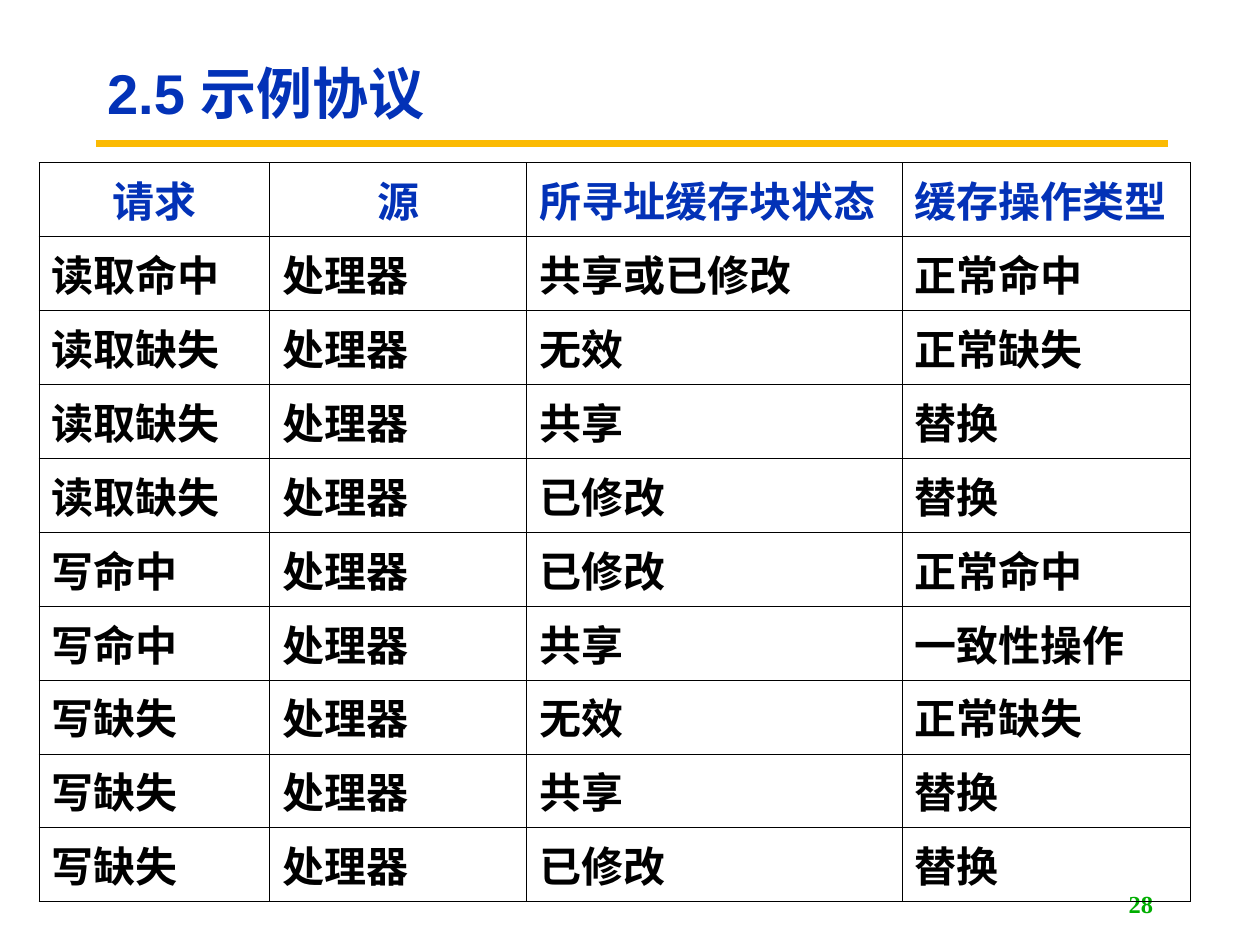
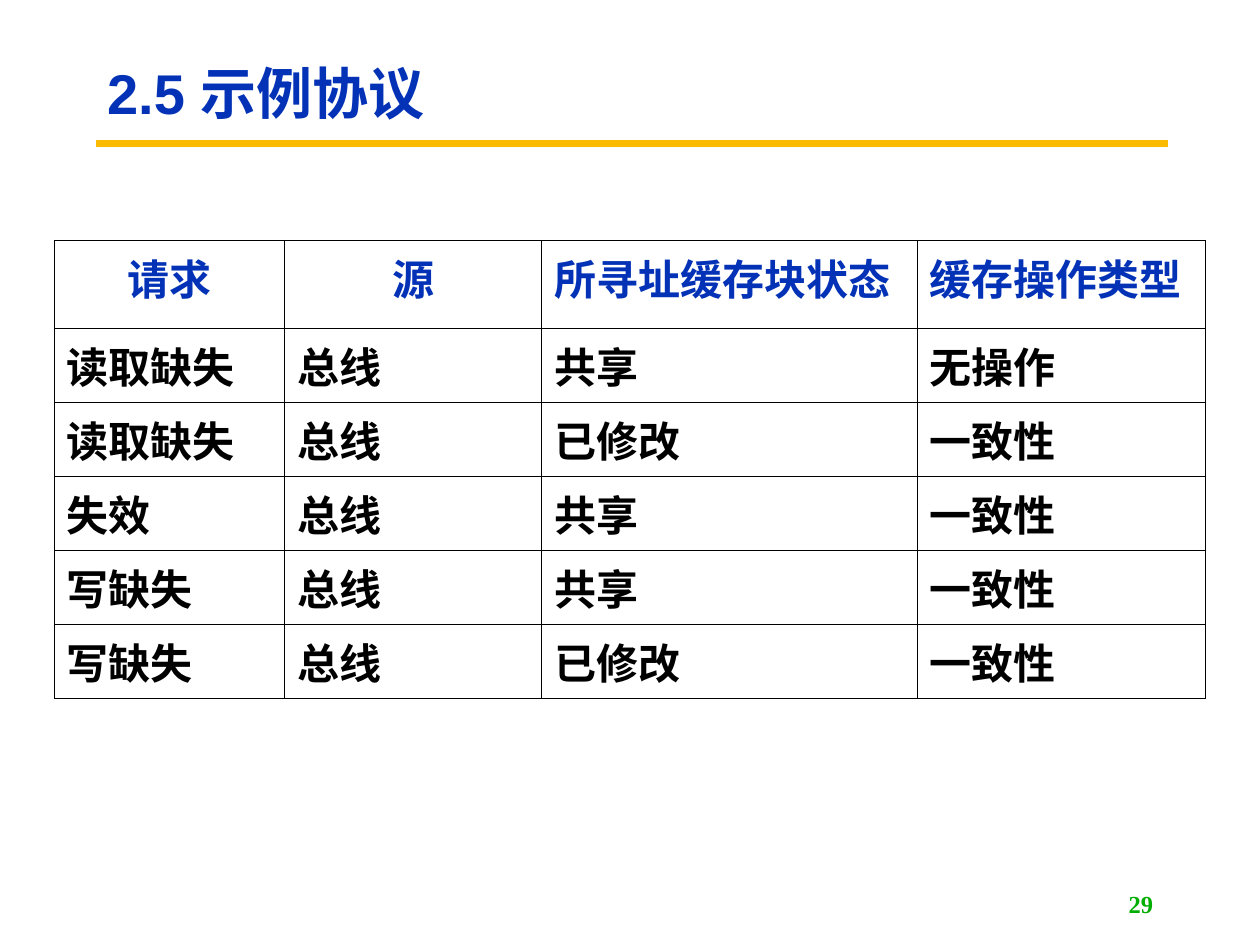
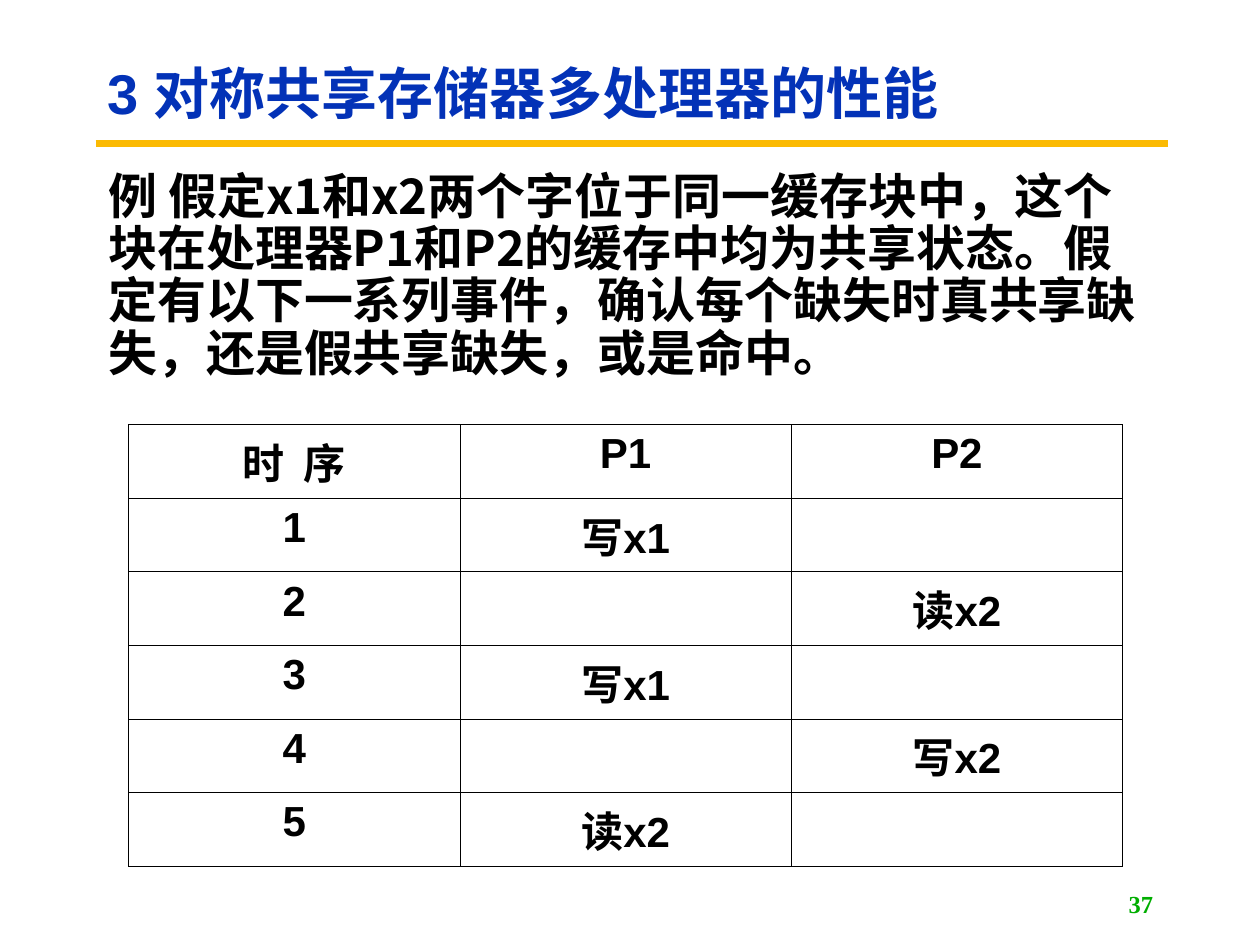
"""Build three lecture slides on cache coherence with shared title, rule and page number."""
from lxml.etree import SubElement
from pptx import Presentation
from pptx.dml.color import RGBColor
from pptx.enum.shapes import MSO_CONNECTOR
from pptx.enum.text import MSO_ANCHOR, MSO_AUTO_SIZE, PP_ALIGN
from pptx.oxml.ns import qn
from pptx.util import Inches, Pt

BLUE, BLACK, WHITE = (RGBColor.from_string(c) for c in ("0332B7", "000000", "FFFFFF"))
GREEN, GOLD = RGBColor.from_string("00AE00"), RGBColor.from_string("FBBA03")
CJK = "Noto Sans CJK SC"
THEME = {
    "title": {"name": "Arial", "size": Pt(32), "bold": True, "color": BLUE},
    "body": {"name": CJK, "size": Pt(28), "bold": True, "color": BLACK},
    "head": {"name": "Arial", "size": Pt(24), "bold": True, "color": BLUE},
    "cell": {"name": "Arial", "size": Pt(24), "bold": True, "color": BLACK},
    "number": {"name": "Times New Roman", "size": Pt(14), "bold": True, "color": GREEN},
}


def add_text(p, text, role, align=PP_ALIGN.LEFT):
    p.alignment = align
    r = p.add_run()
    r.text = text
    for key, value in THEME[role].items():
        if key == "color":
            r.font.color.rgb = value
        else:
            setattr(r.font, key, value)
    SubElement(r.font._element, qn("a:ea"), typeface=CJK)


def add_borders(cell):
    tcPr = cell._tc.get_or_add_tcPr()
    for i, side in enumerate(("a:lnL", "a:lnR", "a:lnT", "a:lnB")):
        ln = SubElement(tcPr, qn(side), w=str(Pt(0.45)))
        fill = SubElement(ln, qn("a:solidFill"))
        SubElement(fill, qn("a:srgbClr"), val=str(BLACK))
        tcPr.insert(i, ln)


HEADER = ["请求", "源", "所寻址缓存块状态", "缓存操作类型"]
PROTOCOL_COLS = [1.83, 2.04, 2.98, 2.29]
SLIDES = [
    {
        "title": "2.5 示例协议", "number": "28", "at": (0.31, 1.29), "height": 5.87,
        "cols": PROTOCOL_COLS, "head": "head", "centred": 2,
        "rows": [
            HEADER,
            ["读取命中", "处理器", "共享或已修改", "正常命中"],
            ["读取缺失", "处理器", "无效", "正常缺失"],
            ["读取缺失", "处理器", "共享", "替换"],
            ["读取缺失", "处理器", "已修改", "替换"],
            ["写命中", "处理器", "已修改", "正常命中"],
            ["写命中", "处理器", "共享", "一致性操作"],
            ["写缺失", "处理器", "无效", "正常缺失"],
            ["写缺失", "处理器", "共享", "替换"],
            ["写缺失", "处理器", "已修改", "替换"],
        ],
    },
    {
        "title": "2.5 示例协议", "number": "29", "at": (0.43, 1.91), "height": 3.63,
        "cols": PROTOCOL_COLS, "head": "head", "centred": 2, "head_height": 0.7,
        "rows": [
            HEADER,
            ["读取缺失", "总线", "共享", "无操作"],
            ["读取缺失", "总线", "已修改", "一致性"],
            ["失效", "总线", "共享", "一致性"],
            ["写缺失", "总线", "共享", "一致性"],
            ["写缺失", "总线", "已修改", "一致性"],
        ],
    },
    {
        "title": "3 对称共享存储器多处理器的性能", "number": "37", "at": (1.02, 3.37),
        "height": 3.32, "cols": [2.63] * 3, "head": "cell", "centred": 3, "centre_all": True,
        "body": "例 假定x1和x2两个字位于同一缓存块中，这个块在处理器P1和P2的缓存中均为共享状态。"
                "假定有以下一系列事件，确认每个缺失时真共享缺失，还是假共享缺失，或是命中。",
        "rows": [
            ["时  序", "P1", "P2"],
            ["1", "写x1", ""],
            ["2", "", "读x2"],
            ["3", "写x1", ""],
            ["4", "", "写x2"],
            ["5", "读x2", ""],
        ],
    },
]

prs = Presentation()
prs.slide_width, prs.slide_height = Inches(10), Inches(7.5)

for data in SLIDES:
    s = prs.slides.add_slide(prs.slide_layouts[1 if "body" in data else 5])

    rule = s.shapes.add_connector(
        MSO_CONNECTOR.STRAIGHT, Inches(0.76), Inches(1.14), Inches(9.27), Inches(1.14))
    rule.line.color.rgb, rule.line.width = GOLD, Pt(3.75)
    SubElement(rule._element.spPr, qn("a:effectLst"))

    title = s.shapes.title
    number = s.shapes.add_textbox(0, 0, 0, 0)
    boxes = [
        (title, "title", (0.75, 0.36, 7.98, 0.81), MSO_ANCHOR.MIDDLE, PP_ALIGN.LEFT),
        (number, "number", (7.17, 7.01, 2.08, 0.32), MSO_ANCHOR.MIDDLE, PP_ALIGN.RIGHT),
    ]
    if "body" in data:
        body = s.placeholders[1]
        boxes.append((body, "body", (0.76, 1.31, 8.4, 5.39), MSO_ANCHOR.TOP, PP_ALIGN.LEFT))

    for sp, role, at, anchor, align in boxes:
        sp.left, sp.top, sp.width, sp.height = (Inches(v) for v in at)
        tf = sp.text_frame
        tf.word_wrap, tf.auto_size, tf.vertical_anchor = True, MSO_AUTO_SIZE.NONE, anchor
        p = tf.paragraphs[0]
        if role == "title":
            p.line_spacing = 0.9
        if role == "body":
            p.line_spacing, p.space_before = Pt(30), Pt(0)
            pPr = p._p.get_or_add_pPr()
            for key in ("marL", "indent", "hangingPunct"):
                pPr.set(key, "0")
            SubElement(pPr, qn("a:buNone"))
        add_text(p, data[role], role, align)

    rows, cols = data["rows"], data["cols"]
    left, top = data["at"]
    table = s.shapes.add_table(
        len(rows), len(cols), Inches(left), Inches(top),
        Inches(sum(cols)), Inches(data["height"])).table
    table.first_row = table.horz_banding = False
    for col, width in zip(table.columns, cols):
        col.width = Inches(width)
    if "head_height" in data:
        rest = (data["height"] - data["head_height"]) / (len(rows) - 1)
        for i, row in enumerate(table.rows):
            row.height = Inches(rest if i else data["head_height"])
    for i, row in enumerate(rows):
        for j, text in enumerate(row):
            cell = table.cell(i, j)
            if "body" in data:
                cell.fill.solid()
                cell.fill.fore_color.rgb = WHITE
            else:
                cell.fill.background()
            add_borders(cell)
            if text:
                centre = data.get("centre_all") or (i == 0 and j < data["centred"])
                add_text(cell.text_frame.paragraphs[0], text, "cell" if i else data["head"],
                         PP_ALIGN.CENTER if centre else PP_ALIGN.LEFT)

prs.save("out.pptx")
